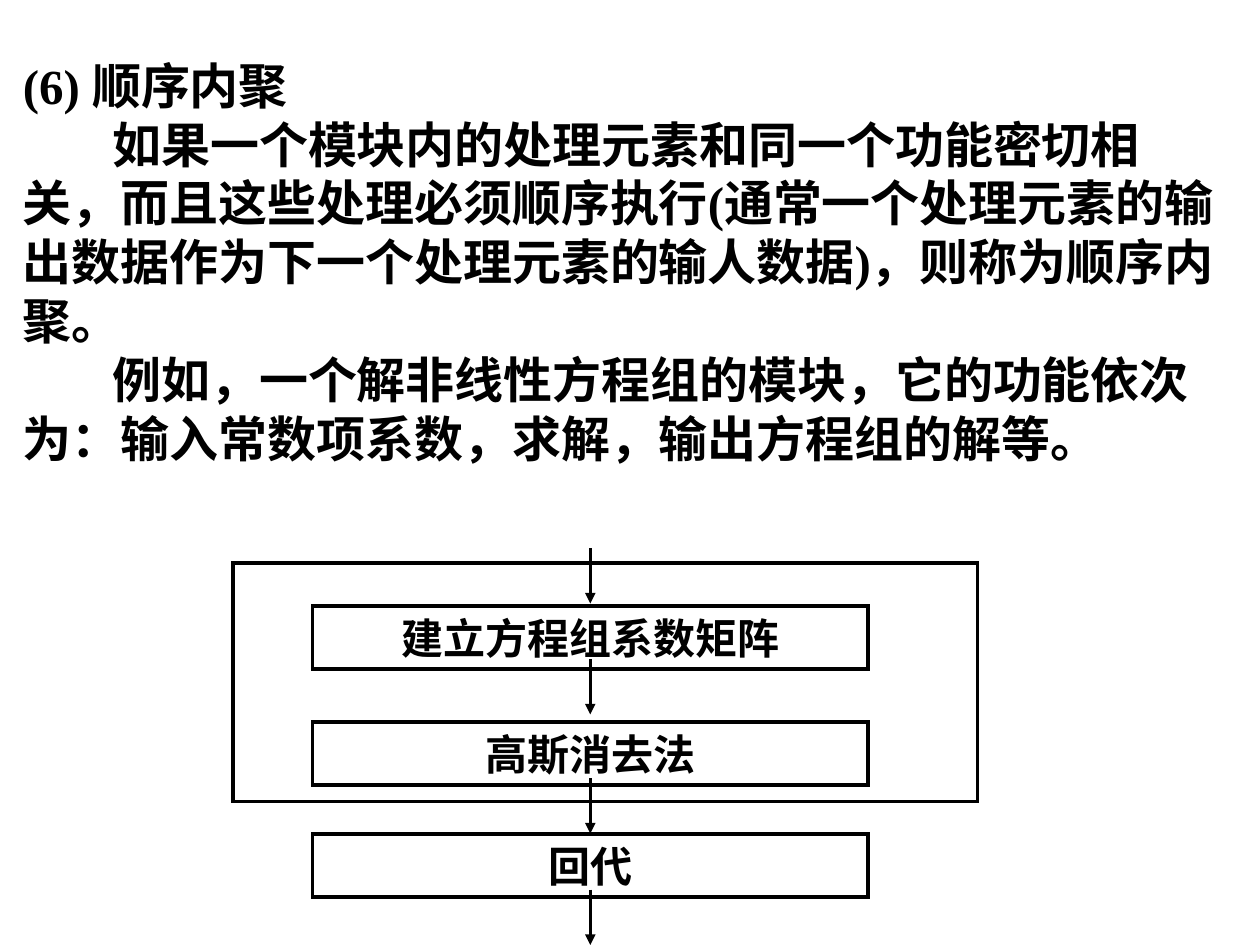
from typing import NamedTuple

from lxml.etree import SubElement
from pptx import Presentation
from pptx.dml.color import RGBColor
from pptx.enum.shapes import MSO_CONNECTOR, MSO_SHAPE
from pptx.enum.text import MSO_ANCHOR, PP_ALIGN
from pptx.oxml.ns import qn
from pptx.util import Inches, Pt

BLACK = RGBColor(0, 0, 0)
FONT = "Times New Roman"

# Grid: 100 columns by 75 rows over the whole slide
WIDE, HIGH = Inches(10), Inches(7.5)
COL, ROW = WIDE / 100, HIGH / 75


class Area(NamedTuple):
    left: float
    top: float
    width: float
    height: float

    def place(self) -> tuple[int, int, int, int]:
        return (int(self.left * COL), int(self.top * ROW),
                int(self.width * COL), int(self.height * ROW))


class Step(NamedTuple):
    label: str
    top: float


BODY = Area(0.83, 3.9, 97.5, 33.7)
FRAME = Area(18.5, 44.7, 59.1, 18.9)
STEP_LEFT, STEP_WIDE, STEP_HIGH = 24.8, 44.1, 5
AXIS = STEP_LEFT + STEP_WIDE / 2
ARROW_LONG = 4.4
ARROW_TOPS = (43.5, 52.3, 61.75, 70.6)
INDENT = Inches(0.71)

STEPS = (
    Step("建立方程组系数矩阵", 48.1),
    Step("高斯消去法", 57.3),
    Step("回代", 66.2),
)
TITLE = "(6) 顺序内聚"
PARAS = (
    "如果一个模块内的处理元素和同一个功能密切相关，而且这些处理必须顺序执行"
    "(通常一个处理元素的输出数据作为下一个处理元素的输人数据)，则称为顺序内聚。",
    "例如，一个解非线性方程组的模块，它的功能依次为：输入常数项系数，求解，"
    "输出方程组的解等。",
)


def style(para, size: int) -> None:
    for run in para.runs:
        font = run.font
        font.name, font.size, font.bold = FONT, Pt(size), True
        font.color.rgb = BLACK


def ink(line) -> None:
    line.color.rgb = BLACK
    line.width = Pt(2)
    # Square corners
    SubElement(line._get_or_add_ln(), qn("a:miter"), lim="800000")


def draw_text(shapes) -> None:
    frame = shapes.add_textbox(*BODY.place()).text_frame
    frame.word_wrap = True
    frame.text = "\n".join((TITLE, *PARAS))
    for para in frame.paragraphs[1:]:
        props = para._p.get_or_add_pPr()
        props.set("indent", str(INDENT))
        # Keep commas inside the right margin
        props.set("hangingPunct", "0")
    for para in frame.paragraphs:
        style(para, 28)


def draw_box(shapes, area: Area, label: str = "") -> None:
    box = shapes.add_shape(MSO_SHAPE.RECTANGLE, *area.place())
    box.shadow.inherit = False
    box.fill.background()
    ink(box.line)
    if label:
        frame = box.text_frame
        frame.word_wrap = True
        frame.vertical_anchor = MSO_ANCHOR.MIDDLE
        frame.text = label
        para = frame.paragraphs[0]
        para.alignment = PP_ALIGN.CENTER
        style(para, 24)


def draw_arrow(shapes, top: float) -> None:
    x = int(AXIS * COL)
    arrow = shapes.add_connector(MSO_CONNECTOR.STRAIGHT, x, int(top * ROW),
                                 x, int((top + ARROW_LONG) * ROW))
    ink(arrow.line)
    SubElement(arrow.line._get_or_add_ln(), qn("a:tailEnd"), type="triangle")
    SubElement(arrow._element.spPr, qn("a:effectLst"))


def main() -> None:
    deck = Presentation()
    deck.slide_width, deck.slide_height = WIDE, HIGH
    shapes = deck.slides.add_slide(deck.slide_layouts[6]).shapes

    # Heading and explanation
    draw_text(shapes)

    # Steps of the module, joined by arrows
    for step in STEPS:
        draw_box(shapes, Area(STEP_LEFT, step.top, STEP_WIDE, STEP_HIGH),
                 step.label)
    for top in ARROW_TOPS:
        draw_arrow(shapes, top)

    # Outline around the first two steps
    draw_box(shapes, FRAME)

    deck.save("out.pptx")


if __name__ == "__main__":
    main()
